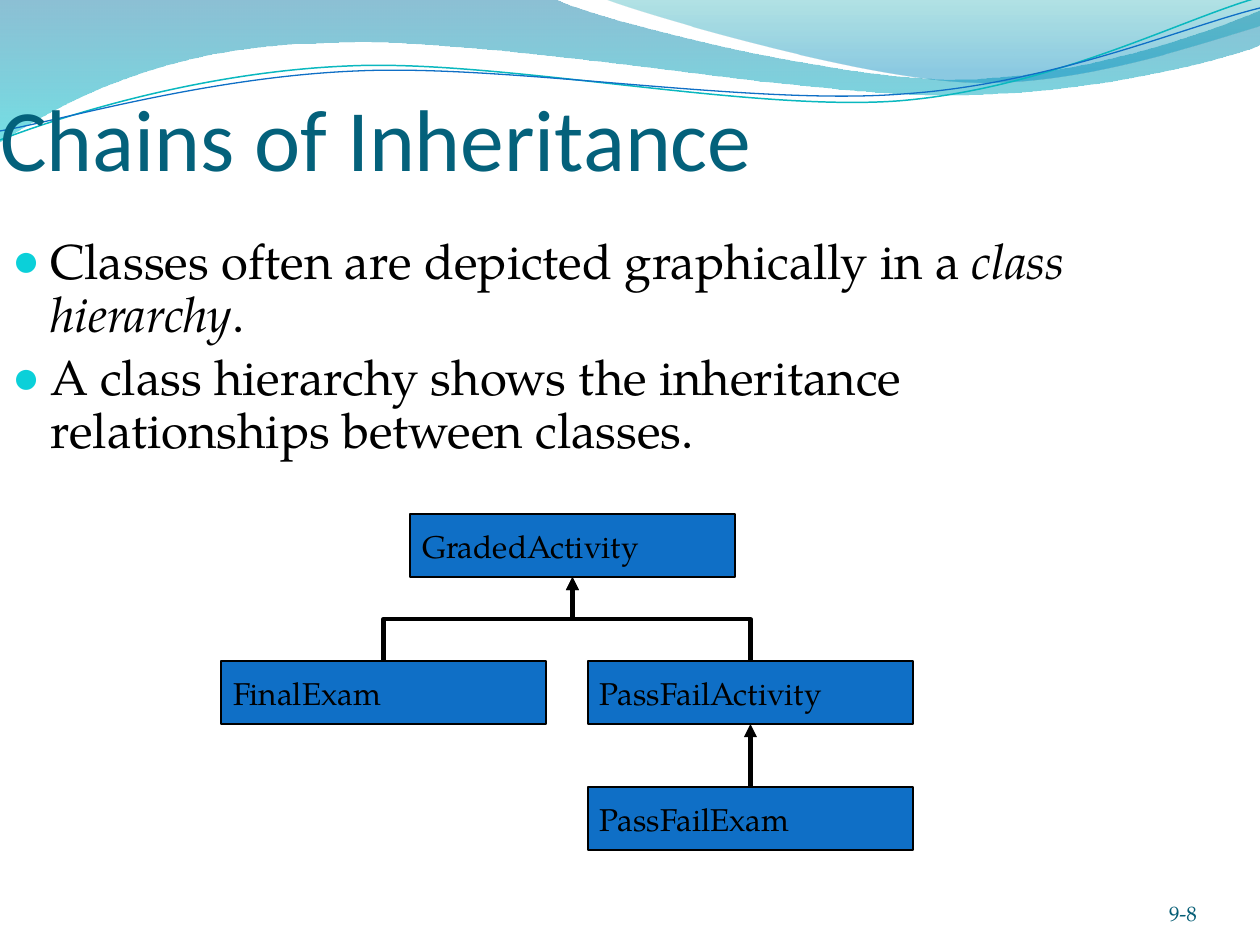
import lxml.etree
import pptx
import pptx.dml.color
import pptx.enum.shapes
import pptx.enum.text
import pptx.oxml.ns
import pptx.util

PX = 914400 // 126
SERIF, SANS = "TeX Gyre Pagella", "Calibri"
LEFT, RIGHT = pptx.enum.text.PP_ALIGN.LEFT, pptx.enum.text.PP_ALIGN.RIGHT
MIDDLE, BOTTOM = pptx.enum.text.MSO_ANCHOR.MIDDLE, pptx.enum.text.MSO_ANCHOR.BOTTOM
LINK = pptx.enum.shapes.MSO_CONNECTOR

# Content: text runs are (text, italic)
TITLE = "Chains of Inheritance"
BULLETS = [
    [("Classes often are depicted graphically in a ", False),
     ("class hierarchy", True), (".", False)],
    [("A class hierarchy shows the inheritance relationships between classes.", False)],
]
PAGE = "9-8"
BOX_W, BOX_H = 325, 63
CLASSES = {
    "GradedActivity": (410, 514),
    "FinalExam": (221, 661),
    "PassFailActivity": (588, 661),
    "PassFailExam": (588, 787),
}
PARENTS = [("FinalExam", "GradedActivity"), ("PassFailActivity", "GradedActivity"),
           ("PassFailExam", "PassFailActivity")]

# Waves: a start point, then line (1 point) or Bezier (3 points) steps
BANDS = [
    ([(0, 0), [(554, -1)], [(600, 21), (837, 79), (955, 79)],
      [(1075, 79), (1207, 33), (1260, 11)], [(1261, 45)],
      [(1239, 55), (1096, 96), (940, 95)], [(784, 94), (481, 35), (324, 43)],
      [(163, 45), (58, 105), (-1, 142)]],
     [(0, "0074A1", 45), (1, "00C6CF", 55)]),
    ([(604, -1), [(641, 14), (859, 78), (969, 82)],
      [(1079, 87), (1211, 40), (1260, 26)], [(1260, 0)]],
     [(0, "00A1A9", 30), (0.8, "008BBF", 45)]),
]
STROKES = [
    ([(0, 140), [(60, 117), (199, 72), (349, 66)], [(498, 59), (747, 112), (898, 101)],
      [(1049, 89), (1182, 19), (1257, -2)]], "0AB8BF", 0.85),
    ([(0, 131), [(59, 121), (207, 77), (357, 71)], [(508, 64), (752, 106), (903, 94)],
      [(1053, 84), (1186, 26), (1260, 8)]], "0F6FC6", 0.75),
]


def rgb(value):
    return pptx.dml.color.RGBColor.from_string(value)


def sub(parent, tag, **attrs):
    return lxml.etree.SubElement(parent, pptx.oxml.ns.qn(tag), attrs)


def place(shape, *box):
    shape.left, shape.top, shape.width, shape.height = [round(v * PX) for v in box]


def frame(tf, anchor, left=12, top=6, right=12, bottom=6):
    tf.word_wrap = True
    tf.auto_size = pptx.enum.text.MSO_AUTO_SIZE.NONE
    tf.vertical_anchor = anchor
    tf.margin_left, tf.margin_top = left * PX, top * PX
    tf.margin_right, tf.margin_bottom = right * PX, bottom * PX


def write(p, runs, size, color="000000", font=SERIF, align=LEFT):
    p.alignment = align
    for text, italic in runs:
        r = p.add_run()
        r.text = text
        r.font.size, r.font.name, r.font.italic = pptx.util.Pt(size), font, italic
        r.font.color.rgb = rgb(color)


def add_wave(steps, close):
    start, *moves = steps
    builder = s.shapes.build_freeform(start[0] * PX, start[1] * PX)
    builder.add_line_segments([(x * PX, y * PX) for step in moves for x, y in step], close=close)
    shape = builder.convert_to_shape()
    shape.shadow.inherit = False
    # Merge each three segments of a Bezier step into one curve
    segments = iter(shape.element.spPr.findall(".//" + pptx.oxml.ns.qn("a:lnTo")))
    for step in moves:
        parts = [next(segments) for _ in step]
        if len(parts) == 3:
            curve = sub(parts[0].getparent(), "a:cubicBezTo")
            parts[0].addprevious(curve)
            for part in parts:
                curve.append(part[0])
                part.getparent().remove(part)
    s.shapes.title.element.addprevious(shape.element)  # keep behind the text
    return shape


def add_inheritance(child, parent):
    (x1, y1), (x2, y2) = [(CLASSES[n][0] + BOX_W / 2, CLASSES[n][1]) for n in (child, parent)]
    y2 += BOX_H
    bent = x1 != x2
    line = s.shapes.add_connector(LINK.ELBOW if bent else LINK.STRAIGHT, 0, 0, 0, 0)
    line.begin_connect(boxes[child], 0)
    line.end_connect(boxes[parent], 2)
    if bent:  # turn the elbow so that it leaves upwards
        w, h = y1 - y2, abs(x2 - x1)
        place(line, (x1 + x2 - w) / 2, (y1 + y2 - h) / 2, w, h)
        xfrm = line.element.spPr.find(pptx.oxml.ns.qn("a:xfrm"))
        xfrm.set("rot", str((270 if x1 < x2 else 90) * 60000))
        xfrm.set("flipH", "0" if x1 < x2 else "1")
        xfrm.set("flipV", "0")
    line.line.color.rgb = rgb("000000")
    line.line.width = pptx.util.Pt(2.5)
    sub(line.element.spPr.find(pptx.oxml.ns.qn("a:ln")), "a:tailEnd", type="triangle")
    sub(line.element.spPr, "a:effectLst")


prs = pptx.Presentation()
prs.slide_width, prs.slide_height = pptx.util.Inches(10), pptx.util.Inches(7.5)
s = prs.slides.add_slide(prs.slide_layouts[1])

# Wave decoration
for steps, stops in BANDS:
    band = add_wave(steps, True)
    band.line.fill.background()
    band.fill.gradient()
    band.fill.gradient_angle = 270
    for stop, (position, color, alpha) in zip(band.fill.gradient_stops, stops):
        stop.position = position
        stop.color.rgb = rgb(color)
    colors = band.element.spPr.findall(".//" + pptx.oxml.ns.qn("a:srgbClr"))
    for clr, (position, color, alpha) in zip(colors, stops):
        sub(clr, "a:alpha", val=str(alpha * 1000))
for steps, color, width in STROKES:
    stroke = add_wave(steps, False)
    stroke.fill.background()
    stroke.line.color.rgb = rgb(color)
    stroke.line.width = pptx.util.Pt(width)

# Title
title = s.shapes.title
place(title, 0, 32, 1144, 157)
frame(title.text_frame, BOTTOM, left=0, right=0, bottom=0)
write(title.text_frame.paragraphs[0], [(TITLE, False)], 50, "04617B", SANS)

# Bullet list
body = s.placeholders[1]
place(body, 0, 231, 1166, 252)
tf = body.text_frame
frame(tf, pptx.enum.text.MSO_ANCHOR.TOP)
for i, runs in enumerate(BULLETS):
    p = tf.add_paragraph() if i else tf.paragraphs[0]
    pPr = p._p.get_or_add_pPr()
    pPr.set("marL", str(38 * PX))
    pPr.set("indent", str(-38 * PX))
    sub(sub(pPr, "a:buClr"), "a:srgbClr", val="0BD0D9")
    sub(pPr, "a:buSzPct", val="95000")
    sub(pPr, "a:buChar", char="●")
    p.line_spacing = 0.9
    p.space_before = pptx.util.Pt(6 if i else 0)
    write(p, runs, 28)

# Class hierarchy
boxes = {}
for name, (x, y) in CLASSES.items():
    box = s.shapes.add_shape(pptx.enum.shapes.MSO_SHAPE.RECTANGLE,
                             x * PX, y * PX, BOX_W * PX, BOX_H * PX)
    box.shadow.inherit = False
    box.fill.solid()
    box.fill.fore_color.rgb = rgb("0F6FC6")
    box.line.color.rgb = rgb("000000")
    box.line.width = pptx.util.Pt(0.75)
    frame(box.text_frame, MIDDLE)
    write(box.text_frame.paragraphs[0], [(name, False)], 18)
    boxes[name] = box
for child, parent in PARENTS:
    add_inheritance(child, parent)

# Page number
page = s.shapes.add_textbox(1092 * PX, 876 * PX, 105 * PX, 50 * PX)
frame(page.text_frame, BOTTOM, 0, 0, 0, 0)
write(page.text_frame.paragraphs[0], [(PAGE, False)], 12, "045D75", align=RIGHT)

prs.save("out.pptx")
